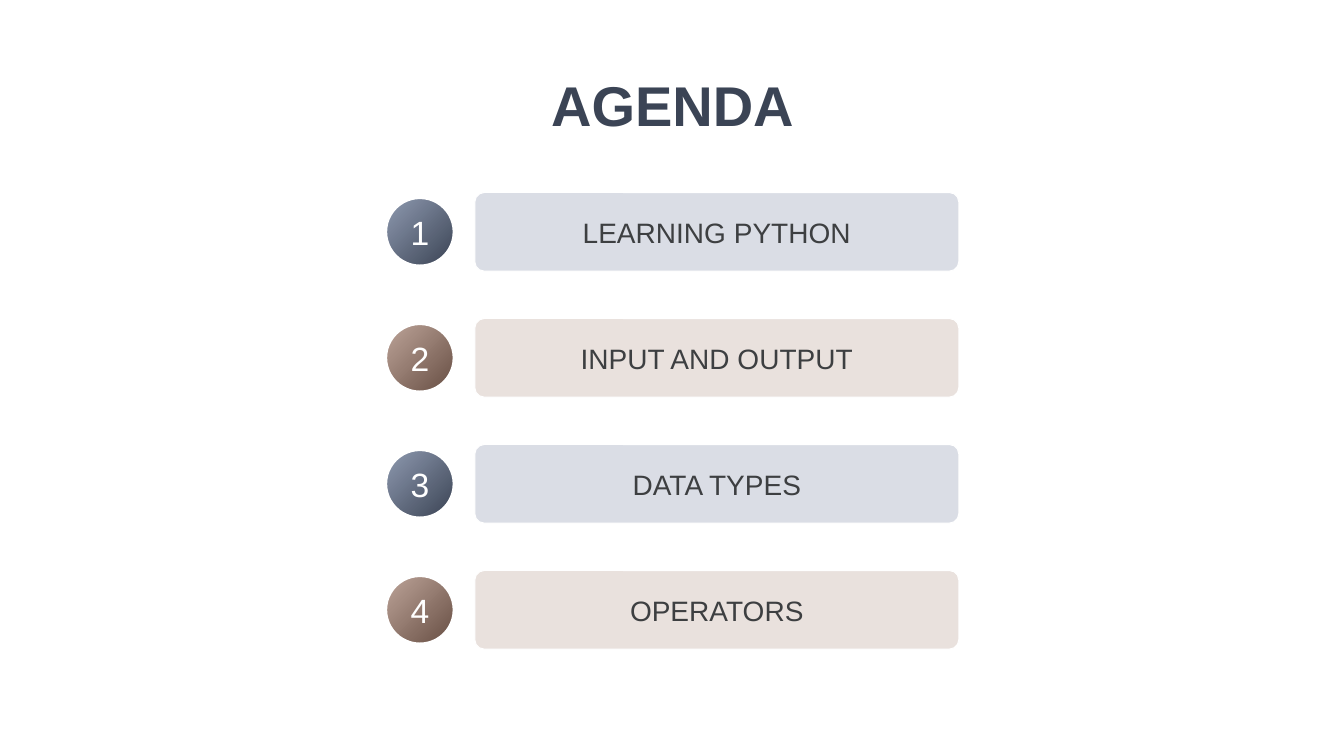
import pptx
import pptx.dml.color
import pptx.enum.shapes
import pptx.enum.text
import pptx.util
from pptx.util import Inches

TOPICS = ["LEARNING PYTHON", "INPUT AND OUTPUT", "DATA TYPES", "OPERATORS"]
PALETTES = [
    {"badge": ("8F9AB0", "3B4455"), "bar": "DADDE5"},
    {"badge": ("BDA499", "684F44"), "bar": "E9E1DD"},
]
FIRST_BAR_TOP, ROW_PITCH = 1.91, 1.25
BAR_HEIGHT, BADGE_SIZE = 0.78, 0.67

TITLE_FORMAT = {"size": pptx.util.Pt(40), "bold": True}
BADGE_FORMAT = {"size": pptx.util.Pt(24), "bold": False}
BAR_FORMAT = {"size": pptx.util.Pt(20), "bold": False}


def rgb(value):
    return pptx.dml.color.RGBColor.from_string(value)


def write_centred(shape, text, color, font_format, inset=None):
    frame = shape.text_frame
    frame.word_wrap = True
    frame.vertical_anchor = pptx.enum.text.MSO_ANCHOR.MIDDLE
    if inset is not None:
        for side in ("left", "top", "right", "bottom"):
            setattr(frame, f"margin_{side}", inset)
    paragraph = frame.paragraphs[0]
    paragraph.alignment = pptx.enum.text.PP_ALIGN.CENTER
    run = paragraph.add_run()
    run.text = text
    run.font.name = "Arial"
    run.font.color.rgb = rgb(color)
    for name, value in font_format.items():
        setattr(run.font, name, value)


def add_outlined_shape(shapes, preset, box, line_width):
    shape = shapes.add_shape(preset, *map(Inches, box))
    shape.shadow.inherit = False
    shape.line.color.rgb = rgb("FFFFFF")
    shape.line.width = pptx.util.Pt(line_width)
    return shape


def add_title(slide, text):
    title = slide.shapes.add_textbox(Inches(3.56), Inches(0.53), Inches(6.22), Inches(1))
    write_centred(title, text, "3B4455", TITLE_FORMAT)


def add_badge(shapes, number, top, gradient):
    badge = add_outlined_shape(
        shapes, pptx.enum.shapes.MSO_SHAPE.OVAL, (3.83, top, BADGE_SIZE, BADGE_SIZE), 1.5)
    badge.fill.gradient()
    badge.fill.gradient_angle = 315
    for stop, color in zip(badge.fill.gradient_stops, gradient):
        stop.color.rgb = rgb(color)
    write_centred(badge, str(number), "FFFFFF", BADGE_FORMAT)


def add_bar(shapes, topic, top, color):
    bar = add_outlined_shape(
        shapes, pptx.enum.shapes.MSO_SHAPE.ROUNDED_RECTANGLE, (4.71, top, 4.8, BAR_HEIGHT), 0.75)
    bar.adjustments[0] = 0.12
    bar.fill.solid()
    bar.fill.fore_color.rgb = rgb(color)
    write_centred(bar, topic, "3D3F41", BAR_FORMAT, inset=0)


def add_agenda_item(slide, index, topic):
    """Group a numbered badge with its topic bar, alternating the palettes."""
    palette = PALETTES[index % len(PALETTES)]
    bar_top = FIRST_BAR_TOP + index * ROW_PITCH
    badge_top = bar_top + (BAR_HEIGHT - BADGE_SIZE) / 2
    item = slide.shapes.add_group_shape()
    add_badge(item.shapes, index + 1, badge_top, palette["badge"])
    add_bar(item.shapes, topic, bar_top, palette["bar"])


def main():
    presentation = pptx.Presentation()
    presentation.slide_width = Inches(13.33)
    presentation.slide_height = Inches(7.5)
    slide = presentation.slides.add_slide(presentation.slide_layouts[6])
    add_title(slide, "AGENDA")
    for index, topic in enumerate(TOPICS):
        add_agenda_item(slide, index, topic)
    presentation.save("out.pptx")


if __name__ == "__main__":
    main()
